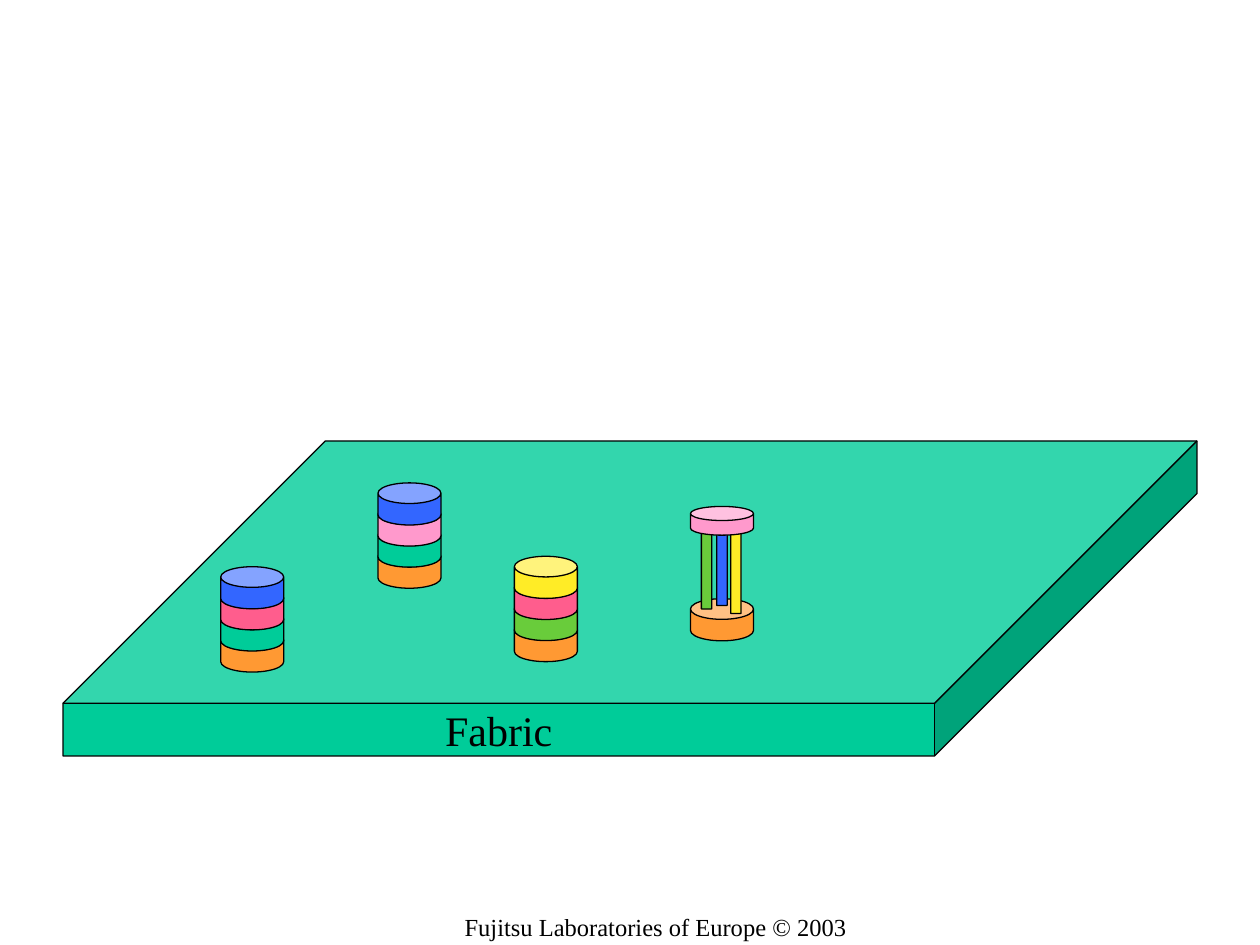
from dataclasses import dataclass

from pptx import Presentation
from pptx.dml.color import RGBColor
from pptx.enum.shapes import MSO_SHAPE
from pptx.enum.text import MSO_ANCHOR, PP_ALIGN
from pptx.util import Cm, Pt

CAN, CUBE = MSO_SHAPE.CAN, MSO_SHAPE.CUBE
MIDDLE, CENTER = MSO_ANCHOR.MIDDLE, PP_ALIGN.CENTER


@dataclass(frozen=True)
class Theme:
    font: str = "Times New Roman"
    label_size: int = 24
    footer_size: int = 14
    line_width: float = 0.75
    black: str = "000000"
    teal: str = "00CC99"
    orange: str = "FF9933"
    rose: str = "FF5D8D"
    pink: str = "FF99CC"
    blue: str = "3366FF"
    green: str = "69CC3B"
    yellow: str = "FFEC26"


theme = Theme()

presentation = Presentation()
presentation.slide_width, presentation.slide_height = Cm(25.4), Cm(19.05)
slide = presentation.slides.add_slide(presentation.slide_layouts[6])


def add_solid(kind, left, top, width, height, depth, color):
    """Add an outlined cube or can; depth is its first adjustment."""
    shape = slide.shapes.add_shape(kind, Cm(left), Cm(top), Cm(width), Cm(height))
    shape.adjustments[0] = depth
    shape.shadow.inherit = False
    shape.fill.solid()
    shape.fill.fore_color.rgb = RGBColor.from_string(color)
    shape.line.color.rgb = RGBColor.from_string(theme.black)
    shape.line.width = Pt(theme.line_width)
    return shape


def write_centered(text_frame, text, size):
    paragraph = text_frame.paragraphs[0]
    paragraph.text = text
    paragraph.alignment = CENTER
    paragraph.font.name = theme.font
    paragraph.font.size = Pt(size)
    paragraph.font.color.rgb = RGBColor.from_string(theme.black)


# Footer
footer = slide.shapes.add_textbox(Cm(5.28), Cm(18.21), Cm(15.88), Cm(0.94)).text_frame
footer.word_wrap = True
footer.margin_left = footer.margin_right = Cm(0.18)
footer.margin_top = footer.margin_bottom = Cm(0.18)
write_centered(footer, "Fujitsu Laboratories of Europe © 2003", theme.footer_size)

# Fabric slab
fabric = add_solid(CUBE, 1.27, 8.89, 22.86, 6.35, 0.833, theme.teal)
fabric.text_frame.word_wrap = False
fabric.text_frame.vertical_anchor = MIDDLE
write_centered(fabric.text_frame, "Fabric", theme.label_size)

# Stacks of discs: left, top of the lowest disc, colours from the bottom up
disc_width, disc_height, disc_depth = 1.27, 0.85, 0.49
disc_step = disc_height / 2
stacks = [
    (4.45, 12.7, [theme.orange, theme.teal, theme.rose, theme.blue]),
    (7.62, 11.01, [theme.orange, theme.teal, theme.pink, theme.blue]),
    (10.37, 12.49, [theme.orange, theme.green, theme.rose, theme.yellow]),
]
for left, lowest_top, colors in stacks:
    for level, color in enumerate(colors):
        add_solid(CAN, left, lowest_top - level * disc_step,
                  disc_width, disc_height, disc_depth, color)

# Tower: base disc, three posts and a cap
tower_left = 13.92
add_solid(CAN, tower_left, 12.07, disc_width, disc_height, disc_depth, theme.orange)
posts = [
    (14.14, 10.59, theme.green),
    (14.45, 10.52, theme.blue),
    (14.73, 10.68, theme.yellow),
]
for left, top, color in posts:
    add_solid(CAN, left, top, 0.21, 1.69, 0.05, color)
add_solid(CAN, tower_left, 10.21, disc_width, 0.58, disc_depth, theme.pink)

presentation.save("out.pptx")
